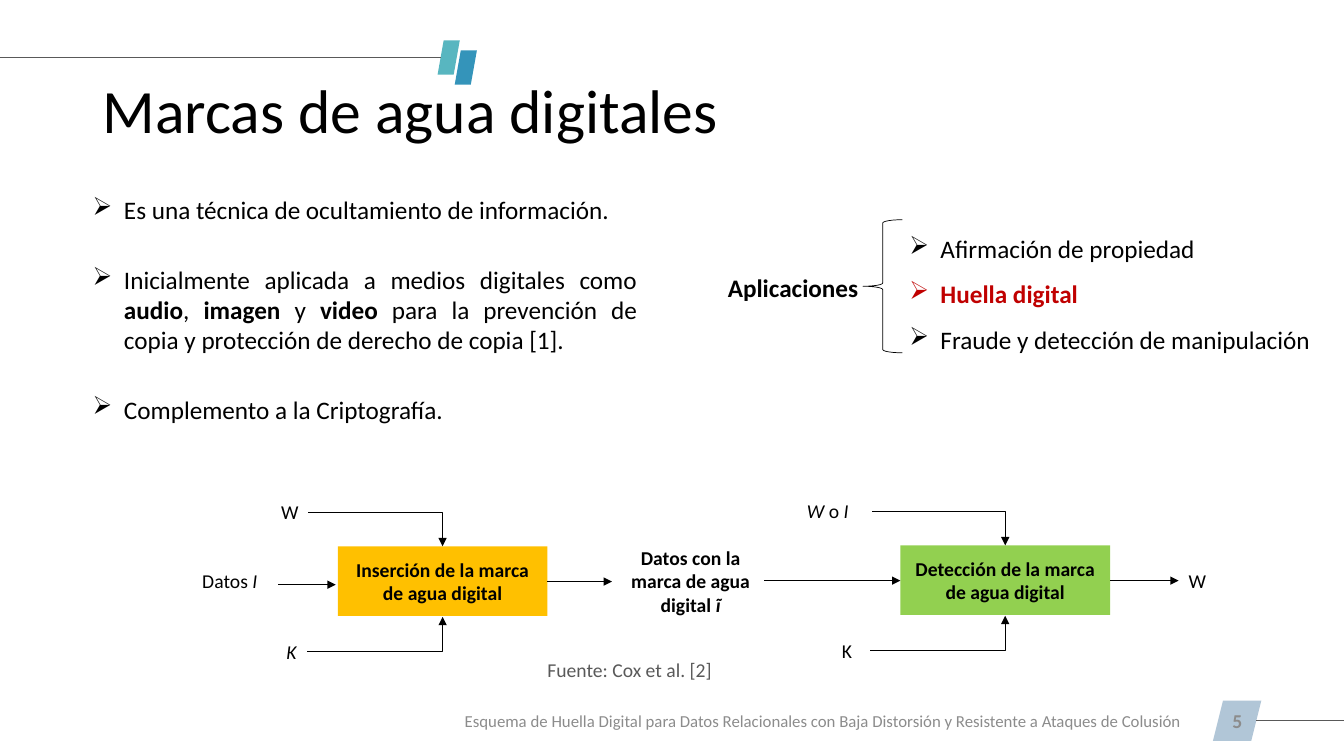
from dataclasses import dataclass, field

from lxml import etree
from pptx import Presentation
from pptx.dml.color import RGBColor
from pptx.enum.shapes import MSO_CONNECTOR, MSO_SHAPE
from pptx.enum.text import MSO_ANCHOR, PP_ALIGN
from pptx.oxml.ns import qn
from pptx.util import Inches, Pt

LEFT, CENTER, RIGHT, JUSTIFY = PP_ALIGN.LEFT, PP_ALIGN.CENTER, PP_ALIGN.RIGHT, PP_ALIGN.JUSTIFY
TOP, MIDDLE = MSO_ANCHOR.TOP, MSO_ANCHOR.MIDDLE
RECT, SLANT, BRACE = MSO_SHAPE.RECTANGLE, MSO_SHAPE.PARALLELOGRAM, MSO_SHAPE.LEFT_BRACE
STRAIGHT, ELBOW = MSO_CONNECTOR.STRAIGHT, MSO_CONNECTOR.ELBOW


@dataclass(frozen=True)
class Theme:
    font: str = "Calibri"
    ink: str = "000000"
    rule: str = "595959"
    muted: str = "8C8C8C"
    accent: str = "C00000"
    teal: str = "58B6C0"
    blue: str = "3494BA"
    page_tab: str = "B1C6D7"
    insertion: str = "FFC000"
    detection: str = "92D050"
    title: int = 44
    body: int = 18
    label: int = 14
    footer: int = 12
    rule_width: float = 1
    thin: float = 0.5


T = Theme()


@dataclass
class Run:
    text: str
    bold: bool = False
    italic: bool = False
    color: str = T.ink


@dataclass
class TextBox:
    at: tuple[float, float, float, float]
    paragraphs: list[list[Run]]
    size: int = T.label
    align: PP_ALIGN = LEFT
    anchor: MSO_ANCHOR = MIDDLE
    bullets: bool = False
    inset: bool = True
    format: dict[str, object] = field(default_factory=dict)


@dataclass
class Block:
    kind: MSO_SHAPE
    at: tuple[float, float, float, float]
    fill: str | None
    slant: float | None = None
    text: str = ""


@dataclass
class Line:
    start: tuple[float, float]
    end: tuple[float, float]
    kind: MSO_CONNECTOR = STRAIGHT
    color: str = T.ink
    width: float = T.thin
    arrow: bool = True


def add_bullet(p) -> None:
    pPr = p._p.get_or_add_pPr()
    for name, value in {"marL": Inches(0.31), "indent": -Inches(0.31)}.items():
        pPr.set(name, str(int(value)))
    etree.SubElement(pPr, qn("a:buFont")).set("typeface", "Wingdings")
    etree.SubElement(pPr, qn("a:buChar")).set("char", "Ø")


def write_runs(p, runs: list[Run], size: int) -> None:
    for run in runs:
        r = p.add_run()
        r.text = run.text
        values = {"name": T.font, "size": Pt(size), "bold": run.bold, "italic": run.italic}
        for name, value in values.items():
            setattr(r.font, name, value)
        r.font.color.rgb = RGBColor.from_string(run.color)


def draw_text(s, box: TextBox) -> None:
    tf = s.shapes.add_textbox(*map(Inches, box.at)).text_frame
    tf.word_wrap = True
    tf.vertical_anchor = box.anchor
    if not box.inset:
        for side in ("left", "top", "right", "bottom"):
            setattr(tf, f"margin_{side}", 0)
    for i, runs in enumerate(box.paragraphs):
        p = tf.paragraphs[0] if i == 0 else tf.add_paragraph()
        if box.bullets:
            add_bullet(p)
        for name, value in {"alignment": box.align, **box.format}.items():
            if i or name != "space_before":
                setattr(p, name, value)
        write_runs(p, runs, box.size)


def draw_block(s, block: Block) -> None:
    sp = s.shapes.add_shape(block.kind, *map(Inches, block.at))
    sp.shadow.inherit = False
    if block.fill:
        sp.fill.solid()
        sp.fill.fore_color.rgb = RGBColor.from_string(block.fill)
        sp.line.fill.background()
    else:
        sp.fill.background()
        sp.line.color.rgb = RGBColor.from_string(T.ink)
        sp.line.width = Pt(T.thin)
    if block.slant is not None:
        sp.adjustments[0] = block.slant
    if block.text:
        tf = sp.text_frame
        tf.word_wrap = True
        tf.vertical_anchor = MIDDLE
        tf.paragraphs[0].alignment = CENTER
        write_runs(tf.paragraphs[0], [Run(block.text, bold=True)], T.label)


def draw_line(s, line: Line) -> None:
    cxn = s.shapes.add_connector(line.kind, *map(Inches, line.start + line.end))
    cxn.line.color.rgb = RGBColor.from_string(line.color)
    cxn.line.width = Pt(line.width)
    spPr = cxn._element.spPr
    if line.kind == ELBOW:  # a single corner: across, then up or down
        spPr.find(qn("a:prstGeom")).set("prst", "bentConnector2")
    if line.arrow:
        etree.SubElement(cxn.line._get_or_add_ln(), qn("a:tailEnd")).set("type", "triangle")
    etree.SubElement(spPr, qn("a:effectLst"))


def label(x: float, y: float, runs: list[Run], align: PP_ALIGN = CENTER) -> TextBox:
    return TextBox((x, y, 1.56, 0.39), [runs], align=align)


BLOCKS = [
    Block(SLANT, (12.03, 6.95, 0.48, 0.4), T.page_tab),
    Block(SLANT, (4.34, 0.4, 0.22, 0.34), T.teal, 0.275),
    Block(SLANT, (4.51, 0.5, 0.22, 0.34), T.blue, 0.275),
    Block(RECT, (3.35, 5.42, 2.08, 0.69), T.insertion, text="Inserción de la marca de agua digital"),
    Block(RECT, (8.93, 5.41, 2.08, 0.69), T.detection, text="Detección de la marca de agua digital"),
    Block(BRACE, (8.56, 2.18, 0.39, 1.32), None),
]

LINES = [
    Line((0, 0.57), (4.37, 0.57), color=T.rule, width=T.rule_width, arrow=False),
    Line((12.46, 7.15), (13.33, 7.15), color=T.rule, width=T.rule_width, arrow=False),
    Line((3.06, 5.08), (4.39, 5.42), ELBOW),
    Line((3.05, 6.46), (4.39, 6.12), ELBOW),
    Line((8.65, 5.07), (9.97, 5.41), ELBOW),
    Line((8.63, 6.45), (9.97, 6.11), ELBOW),
    Line((2.76, 5.8), (3.33, 5.8)),
    Line((5.43, 5.77), (6.07, 5.77)),
    Line((7.58, 5.76), (8.93, 5.76)),
    Line((11.01, 5.76), (11.69, 5.76)),
]

TEXTS = [
    TextBox((0.92, 0.4, 11.5, 1.45), [[Run("Marcas de agua digitales")]], T.title,
            format={"line_spacing": 0.9}),
    TextBox((0.92, 1.93, 5.4, 2.29), [
        [Run("Es una técnica de ocultamiento de información.")],
        [Run("Inicialmente aplicada a medios digitales como "), Run("audio", bold=True), Run(", "),
         Run("imagen", bold=True), Run(" y "), Run("video", bold=True),
         Run(" para la prevención de copia y protección de derecho de copia [1].")],
        [Run("Complemento a la Criptografía.")],
    ], T.body, JUSTIFY, TOP, bullets=True, inset=False, format={"space_before": Pt(28)}),
    TextBox((8.92, 2.27, 4.23, 1.14), [
        [Run("Afirmación de propiedad")],
        [Run("Huella digital", bold=True, color=T.accent)],
        [Run("Fraude y detección de manipulación")],
    ], T.body, bullets=True, format={"line_spacing": 1.5}),
    TextBox((7.12, 2.42, 1.74, 0.72), [[Run("Aplicaciones", bold=True)]], T.body,
            format={"line_spacing": 1.5}),
    label(1.5, 4.88, [Run("W")], RIGHT),
    label(1.5, 5.57, [Run("Datos "), Run("I", italic=True)]),
    label(1.48, 6.27, [Run("K", italic=True)], RIGHT),
    label(6.07, 5.57, [Run("Datos con la marca de agua digital ", bold=True),
                       Run("ĩ", bold=True, italic=True)]),
    label(7.43, 4.87, [Run("W", italic=True), Run(" o "), Run("I", italic=True)]),
    label(7.62, 6.26, [Run("K")]),
    label(11.69, 5.57, [Run("W")], LEFT),
    TextBox((5.23, 6.45, 1.93, 0.39), [[Run("Fuente: Cox et al. [2]", color=T.rule)]], align=RIGHT),
    TextBox((4.51, 6.95, 7.51, 0.4), [[Run(
        "Esquema de Huella Digital para Datos Relacionales con Baja Distorsión "
        "y Resistente a Ataques de Colusión", color=T.muted)]], T.footer),
    TextBox((9.42, 6.95, 3, 0.4), [[Run("5", bold=True, color=T.muted)]], align=RIGHT),
]


def main() -> None:
    prs = Presentation()
    prs.slide_width, prs.slide_height = Inches(13.33), Inches(7.5)
    s = prs.slides.add_slide(prs.slide_layouts[6])
    for draw, items in ((draw_block, BLOCKS), (draw_line, LINES), (draw_text, TEXTS)):
        for item in items:
            draw(s, item)
    prs.save("out.pptx")


if __name__ == "__main__":
    main()
